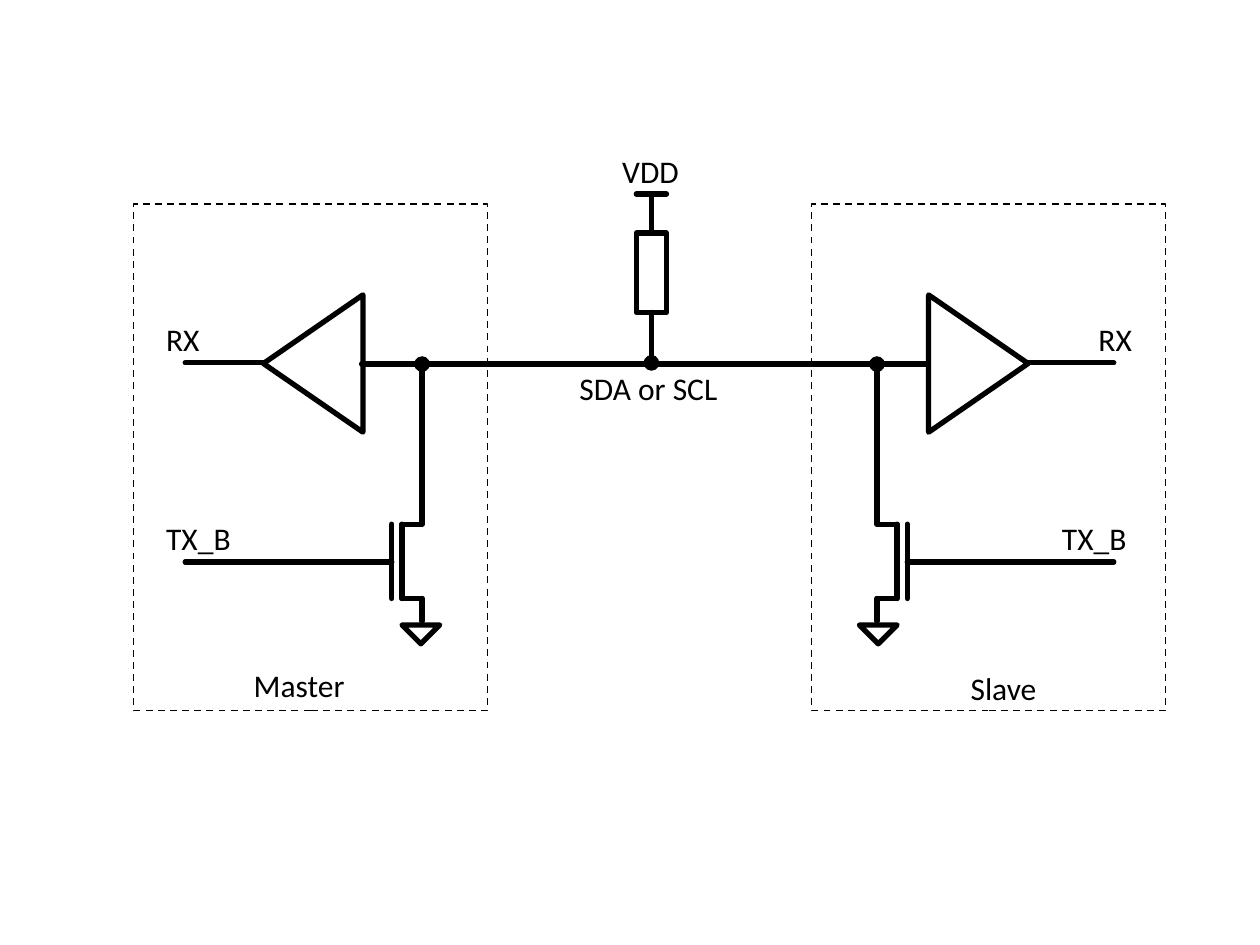
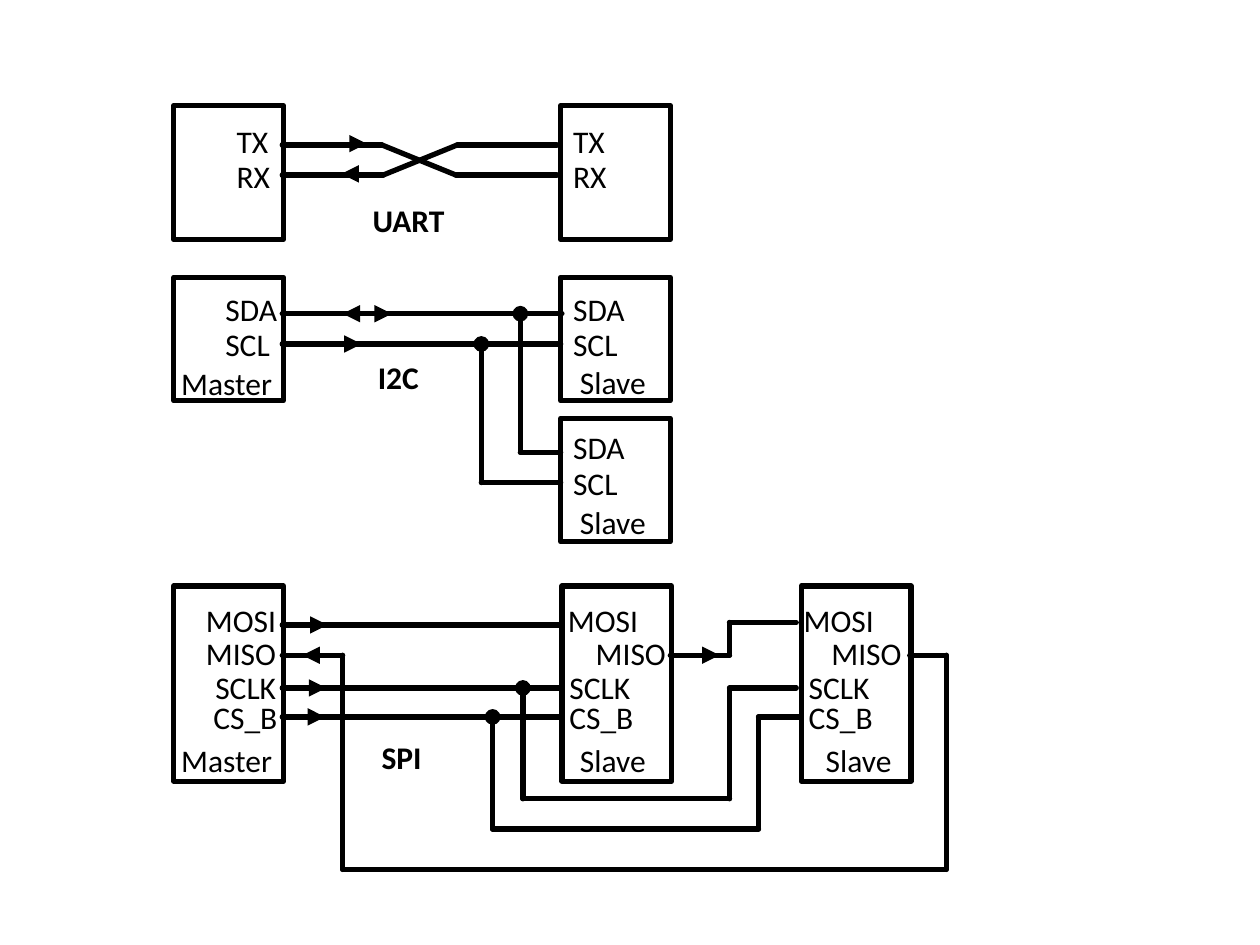
from dataclasses import dataclass
from itertools import pairwise

from lxml.etree import SubElement
from pptx import Presentation
from pptx.dml.color import RGBColor
from pptx.enum.dml import MSO_LINE
from pptx.enum.shapes import MSO_CONNECTOR, MSO_SHAPE
from pptx.enum.text import MSO_AUTO_SIZE, PP_ALIGN
from pptx.oxml.ns import qn
from pptx.util import Inches, Pt

BLACK = RGBColor(0, 0, 0)
FONT_FORMAT = {"name": "Calibri", "size": Pt(18)}
LABEL_HEIGHT = 0.4
LABEL_WIDTHS = {
    "TX": 0.46, "RX": 0.47, "TX_B": 0.72, "VDD": 0.66, "SDA or SCL": 1.31,
    "SDA": 0.62, "SCL": 0.56, "MOSI": 0.76, "MISO": 0.76, "SCLK": 0.69,
    "CS_B": 0.72, "Master": 0.93, "Slave": 0.73,
    "UART": 0.78, "I2C": 0.53, "SPI": 0.52,
}
CIRCUIT_LINE, ARROW_LINE, FRAME_LINE = 3, 0.5, 1
BLOCK_WIDTH = 0.87
MIRROR_SUM = 10.31  # a master x and its slave x add up to this
LEFT, CENTER, RIGHT = PP_ALIGN.LEFT, PP_ALIGN.CENTER, PP_ALIGN.RIGHT

Point = tuple[float, float]


@dataclass(frozen=True)
class Label:
    text: str
    left: float
    top: float
    align: PP_ALIGN = LEFT
    bold: bool = False
    wrap_width: float | None = None


@dataclass(frozen=True)
class Box:
    left: float
    top: float
    width: float
    height: float
    kind: MSO_SHAPE = MSO_SHAPE.RECTANGLE
    rotation: float = 0
    weight: float = CIRCUIT_LINE
    dashed: bool = False


@dataclass(frozen=True)
class Wire:
    """A run of straight segments; head marks its first point, tail its last."""
    points: tuple[Point, ...]
    head: str = ""
    tail: str = ""
    weight: float = CIRCUIT_LINE


def wire(*points: Point, head: str = "") -> Wire:
    return Wire(points, head)


def arrow(start: Point, end: Point, head: str = "") -> Wire:
    return Wire((start, end), head, "triangle", ARROW_LINE)


def finish_line(shape, weight: float, dashed: bool = False):
    """Black line with round caps and joins; returns its XML element."""
    shape.line.color.rgb = BLACK
    shape.line.width = Pt(weight)
    if dashed:
        shape.line.dash_style = MSO_LINE.DASH
    line = shape.element.spPr.find(qn("a:ln"))
    if not dashed:
        line.set("cap", "rnd")
    SubElement(line, qn("a:round"))
    return line


def draw_box(slide, box: Box) -> None:
    shape = slide.shapes.add_shape(
        box.kind, *map(Inches, (box.left, box.top, box.width, box.height)))
    shape.rotation = box.rotation
    shape.fill.background()
    finish_line(shape, box.weight, box.dashed)
    shape.shadow.inherit = False


def draw_wire(slide, path: Wire) -> None:
    last = len(path.points) - 2
    for index, (start, end) in enumerate(pairwise(path.points)):
        connector = slide.shapes.add_connector(
            MSO_CONNECTOR.STRAIGHT, *map(Inches, (*start, *end)))
        line = finish_line(connector, path.weight)
        size = "lg" if path.weight == ARROW_LINE else "med"
        ends = (("a:headEnd", path.head if index == 0 else ""),
                ("a:tailEnd", path.tail if index == last else ""))
        for tag, kind in ends:
            if kind:
                SubElement(line, qn(tag), type=kind, w=size, len=size)
        SubElement(connector.element.spPr, qn("a:effectLst"))


def draw_label(slide, label: Label) -> None:
    width = label.wrap_width or LABEL_WIDTHS[label.text]
    shape = slide.shapes.add_textbox(
        *map(Inches, (label.left, label.top, width, LABEL_HEIGHT)))
    frame = shape.text_frame
    frame.word_wrap = label.wrap_width is not None
    frame.auto_size = MSO_AUTO_SIZE.SHAPE_TO_FIT_TEXT
    paragraph = frame.paragraphs[0]
    paragraph.alignment = label.align
    run = paragraph.add_run()
    run.text = label.text
    for name, value in {**FONT_FORMAT, "bold": label.bold}.items():
        setattr(run.font, name, value)
    run.font.color.rgb = BLACK


def draw_all(slide, boxes: list[Box], wires: list[Wire], labels: list[Label]) -> None:
    for draw, items in ((draw_box, boxes), (draw_wire, wires), (draw_label, labels)):
        for item in items:
            draw(slide, item)


def device_side(mirrored: bool) -> tuple[list[Box], list[Wire]]:
    """Receiver buffer, open-drain transistor and ground of one device."""
    def x(value: float) -> float:
        return MIRROR_SUM - value if mirrored else value

    def box_left(left: float, width: float) -> float:
        return x(left + width) if mirrored else left

    buffer_left, buffer_tip = (7.22, 8.16) if mirrored else (1.94, 2.09)
    boxes = [
        Box(buffer_left, 2.49, 1.09, 0.79, MSO_SHAPE.ISOSCELES_TRIANGLE,
            90 if mirrored else 270),
        Box(box_left(3.19, 0.3), 4.96, 0.3, 0.15, MSO_SHAPE.ISOSCELES_TRIANGLE, 180),
        Box(box_left(1.06, 2.81), 1.62, 2.81, 4.02, weight=FRAME_LINE, dashed=True),
    ]
    wires = [
        wire((buffer_tip, 2.88), (x(1.47), 2.88)),
        wire((x(3.35), 2.89), (x(3.35), 4.16), (x(3.19), 4.16), (x(3.19), 4.75),
             (x(3.35), 4.75), (x(3.35), 4.93), head="oval"),
        wire((x(3.11), 4.16), (x(3.11), 4.75)),
        wire((x(3.11), 4.46), (x(1.47), 4.46)),
    ]
    return boxes, wires


def build_open_drain_slide(slide) -> None:
    # Shared bus line with its pull-up resistor
    boxes = [Box(5.05, 1.85, 0.24, 0.63)]
    wires = [
        wire((7.35, 2.89), (2.87, 2.89)),
        wire((5.17, 2.88), (5.17, 2.48), head="oval"),
        wire((5.17, 1.55), (5.17, 1.85)),
        wire((5.29, 1.54), (5.05, 1.54)),
    ]
    for mirrored in (False, True):
        side_boxes, side_wires = device_side(mirrored)
        boxes += side_boxes
        wires += side_wires
    labels = [
        Label("SDA or SCL", 4.5, 2.88), Label("VDD", 4.84, 1.16),
        Label("RX", 1.22, 2.49), Label("TX_B", 1.22, 4.07),
        Label("RX", 8.62, 2.49), Label("TX_B", 8.33, 4.07),
        Label("Master", 1.91, 5.24, CENTER), Label("Slave", 7.6, 5.26, CENTER),
    ]
    draw_all(slide, boxes, wires, labels)


def slave_label(left: float, top: float) -> Label:
    return Label("Slave", left, top, CENTER, wrap_width=BLOCK_WIDTH)


def build_uart(slide) -> None:
    boxes = [Box(left, 0.84, BLOCK_WIDTH, 1.06) for left in (1.38, 4.45)]
    wires = [
        wire((2.24, 1.15), (3.03, 1.15), (3.62, 1.39), (4.42, 1.39)),
        wire((2.24, 1.39), (3.04, 1.39), (3.63, 1.15), (4.42, 1.15)),
        arrow((2.52, 1.14), (2.91, 1.14)),
        arrow((2.91, 1.38), (2.71, 1.38)),
    ]
    labels = [Label(pin, left, top) for left in (1.78, 4.45)
              for pin, top in (("TX", 0.92), ("RX", 1.2))]
    draw_all(slide, boxes, wires, labels + [Label("UART", 2.86, 1.55, bold=True)])


def build_i2c(slide) -> None:
    boxes = [Box(left, top, BLOCK_WIDTH, 0.98)
             for left, top in ((1.38, 2.2), (4.45, 2.2), (4.45, 3.32))]
    wires = [
        wire((4.46, 2.49), (2.24, 2.49)),
        wire((4.45, 2.73), (2.24, 2.73)),
        wire((3.82, 2.73), (3.82, 3.83), (4.45, 3.83), head="oval"),
        wire((4.13, 2.49), (4.13, 3.59), (4.45, 3.59), head="oval"),
        arrow((2.72, 2.49), (3.11, 2.49), head="triangle"),
        arrow((2.6, 2.73), (2.87, 2.73)),
    ]
    labels = [Label(pin, left, top + step)
              for left, top in ((1.69, 2.25), (4.45, 2.25), (4.45, 3.35))
              for pin, step in (("SDA", 0), ("SCL", 0.28))]
    labels += [
        Label("I2C", 2.9, 2.79, bold=True), Label("Master", 1.34, 2.84),
        slave_label(4.43, 2.83), slave_label(4.43, 3.94),
    ]
    draw_all(slide, boxes, wires, labels)


def build_spi(slide) -> None:
    boxes = [Box(left, 4.65, BLOCK_WIDTH, 1.55) for left in (1.38, 4.46, 6.36)]
    wires = [wire((4.46, y), (2.24, y)) for y in (4.96, 5.46, 5.69)]
    wires += [
        # Data leaves the first slave, enters the second and returns to the master
        wire((5.32, 5.2), (5.79, 5.2), (5.79, 4.94), (6.32, 4.94)),
        wire((7.22, 5.2), (7.51, 5.2), (7.51, 6.9), (2.72, 6.9), (2.72, 5.2),
             (2.24, 5.2)),
        # Clock and chip select branch to the second slave
        wire((4.15, 5.46), (4.15, 6.34), (5.79, 6.34), (5.79, 5.46), (6.32, 5.46),
             head="oval"),
        wire((3.91, 5.69), (3.91, 6.58), (6.02, 6.58), (6.02, 5.69), (6.35, 5.69),
             head="oval"),
    ]
    wires += [arrow((start, y), (end, y)) for start, end, y in (
        (2.32, 2.6, 4.96), (2.6, 2.4, 5.2), (2.3, 2.59, 5.46),
        (2.29, 2.58, 5.69), (5.31, 5.71, 5.2))]
    pin_tops = {"MOSI": 4.72, "MISO": 4.98, "SCLK": 5.25, "CS_B": 5.49}
    pin_columns = (
        ((1.53, 1.53, 1.6, 1.58), RIGHT),
        ((4.41, 4.63, 4.42, 4.42), LEFT),
        ((6.28, 6.5, 6.32, 6.32), LEFT),
    )
    labels = [Label(pin, left, top, align) for lefts, align in pin_columns
              for left, (pin, top) in zip(lefts, pin_tops.items())]
    labels += [
        Label("SPI", 2.93, 5.81, bold=True), Label("Master", 1.34, 5.83),
        slave_label(4.43, 5.83), slave_label(6.38, 5.83),
    ]
    draw_all(slide, boxes, wires, labels)


def build_protocols_slide(slide) -> None:
    for build_protocol in (build_uart, build_i2c, build_spi):
        build_protocol(slide)


def main() -> None:
    presentation = Presentation()
    presentation.slide_width = Inches(10)
    presentation.slide_height = Inches(7.5)
    blank_layout = presentation.slide_layouts[6]
    for build_slide in (build_open_drain_slide, build_protocols_slide):
        build_slide(presentation.slides.add_slide(blank_layout))
    presentation.save("out.pptx")


if __name__ == "__main__":
    main()
